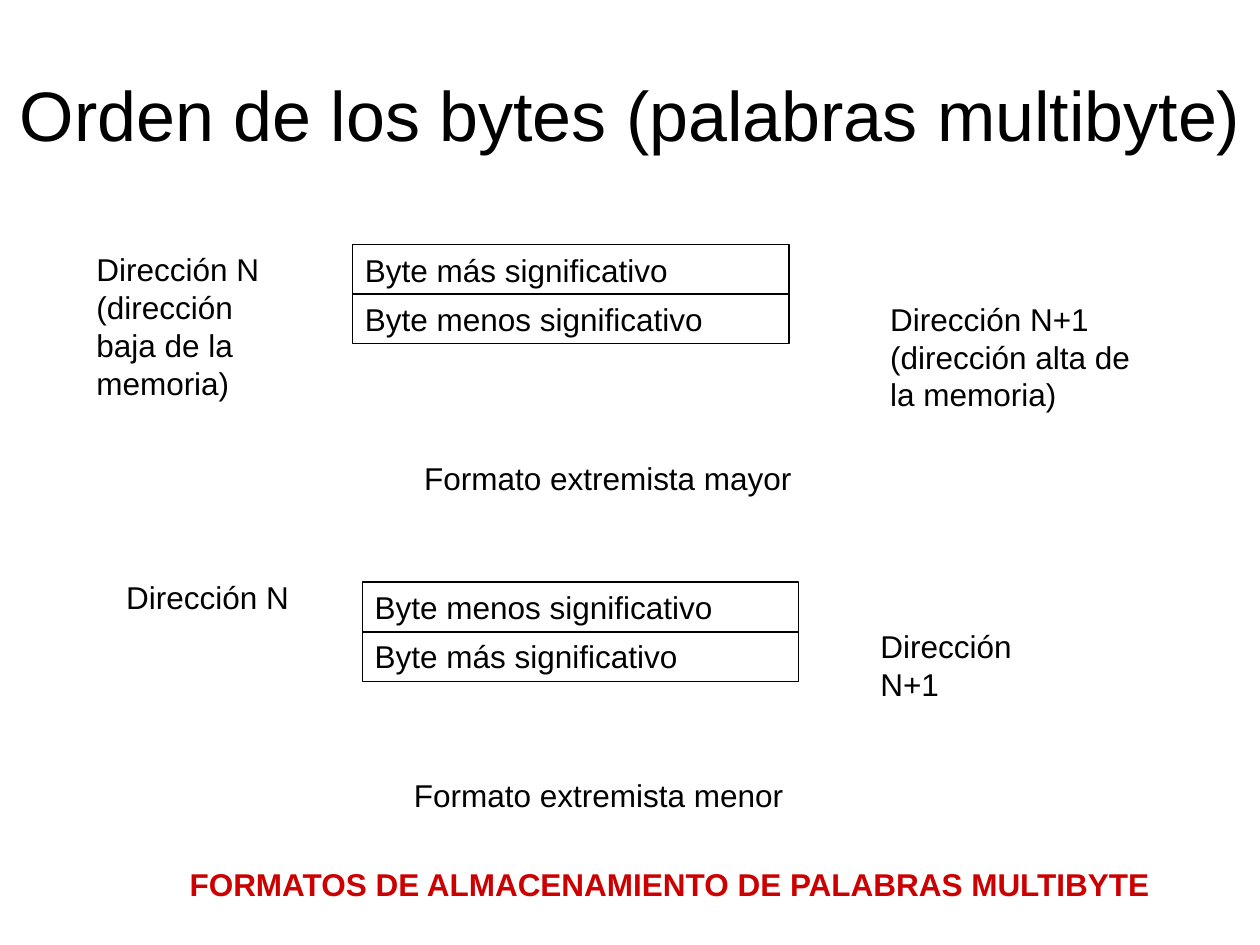
from pptx import Presentation
from pptx.dml.color import RGBColor
from pptx.enum.shapes import MSO_SHAPE
from pptx.enum.text import MSO_ANCHOR, MSO_AUTO_SIZE, PP_ALIGN
from pptx.util import Pt

COLORS = {"text": "000000", "line": "000000", "accent": "CC0000"}
ROW_H = 28.6
ROW_STEP = 28.2

prs = Presentation()
prs.slide_width, prs.slide_height = Pt(720), Pt(540)
s = prs.slides.add_slide(prs.slide_layouts[5])


def write(sp, text, size=18, color="text", bold=False, align=PP_ALIGN.LEFT,
          anchor=MSO_ANCHOR.TOP, auto_size=MSO_AUTO_SIZE.SHAPE_TO_FIT_TEXT):
    tf = sp.text_frame
    tf.word_wrap = True
    tf.auto_size = auto_size
    tf.vertical_anchor = anchor
    tf.margin_left = tf.margin_right = Pt(7.2)
    tf.margin_top = tf.margin_bottom = Pt(3.6)
    p = tf.paragraphs[0]
    p.alignment = align
    r = p.add_run()
    r.text = text
    r.font.name = "Arial"
    r.font.size = Pt(size)
    r.font.bold = bold
    r.font.color.rgb = RGBColor.from_string(COLORS[color])


title = s.shapes.title
title.left, title.top, title.width, title.height = Pt(0), Pt(20), Pt(720), Pt(90)
write(title, "Orden de los bytes (palabras multibyte)", size=40,
      align=PP_ALIGN.CENTER, anchor=MSO_ANCHOR.MIDDLE, auto_size=MSO_AUTO_SIZE.NONE)

# Memory words: left, top, bytes from low to high address
words = [
    (201.5, 139.6, ["Byte más significativo", "Byte menos significativo"]),
    (207, 332.5, ["Byte menos significativo", "Byte más significativo"]),
]
for left, top, byte_names in words:
    for i, name in enumerate(byte_names):
        sp = s.shapes.add_shape(MSO_SHAPE.RECTANGLE, Pt(left), Pt(top + i * ROW_STEP),
                                Pt(249.5), Pt(ROW_H))
        sp.shadow.inherit = False
        sp.fill.background()
        sp.line.color.rgb = RGBColor.from_string(COLORS["line"])
        sp.line.width = Pt(0.75)
        write(sp, name)

# Labels: text, left, top, width, height
labels = [
    ("Dirección N (dirección baja de la memoria)", 48, 139.6, 108, 93.6),
    ("Dirección N+1 (dirección alta de la memoria)", 501.6, 167.8, 164, 72),
    ("Formato extremista mayor", 235.3, 258.5, 391, ROW_H),
    ("Dirección N", 65, 326.8, 108, ROW_H),
    ("Dirección N+1", 496, 355, 107.5, 50.4),
    ("Formato extremista menor", 229.5, 440, 391, ROW_H),
]
for text, *box in labels:
    write(s.shapes.add_textbox(*map(Pt, box)), text)

caption = s.shapes.add_textbox(Pt(76.3), Pt(491), Pt(612.7), Pt(ROW_H))
write(caption, "FORMATOS DE ALMACENAMIENTO DE PALABRAS MULTIBYTE",
      color="accent", bold=True, align=PP_ALIGN.CENTER)

prs.save("out.pptx")
